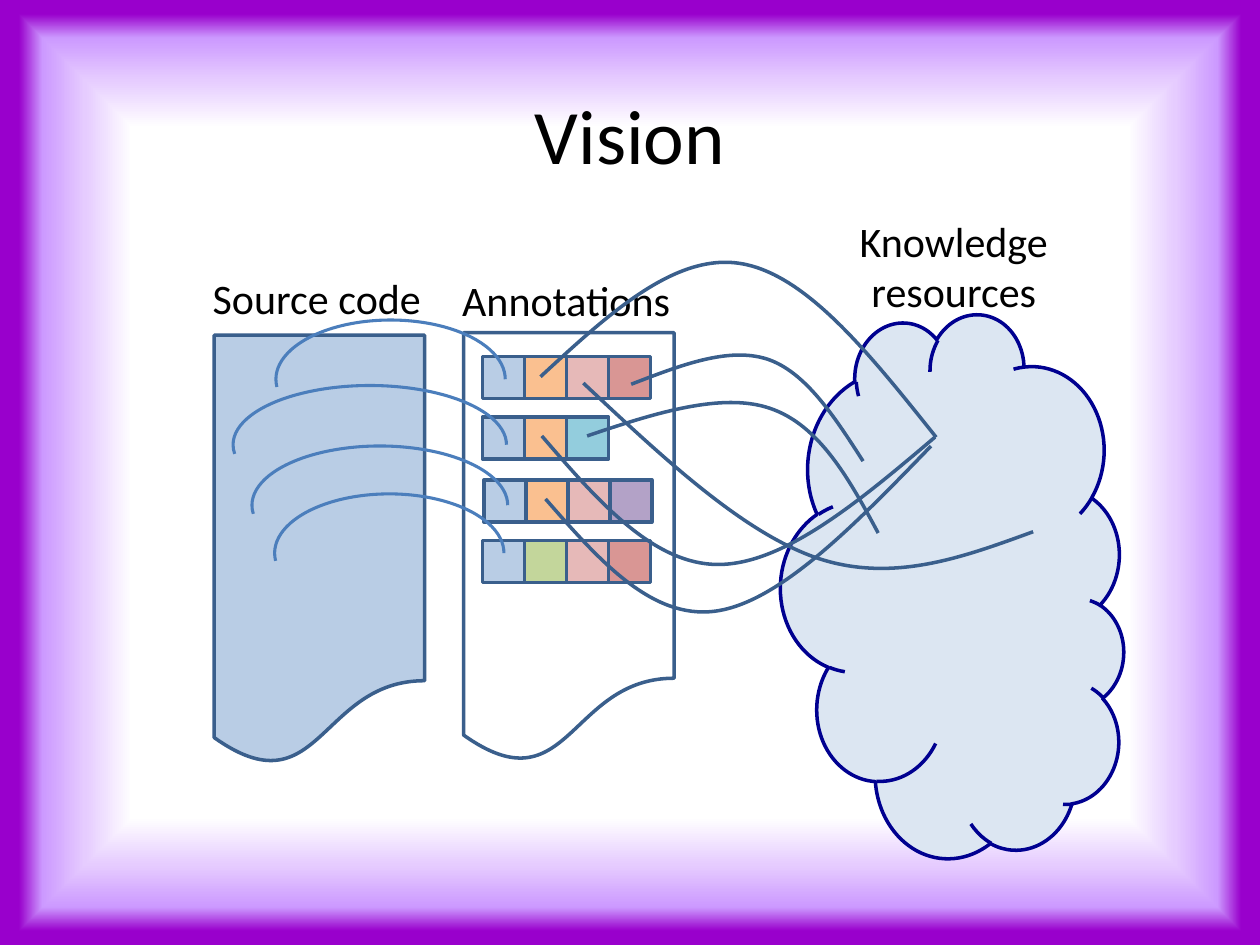
"""Build the "Vision" slide linking source code, annotations and knowledge resources."""
from lxml.etree import SubElement
from pptx import Presentation
from pptx.dml.color import RGBColor
from pptx.enum.shapes import MSO_SHAPE as Shape
from pptx.enum.text import MSO_ANCHOR as Anchor, MSO_AUTO_SIZE as AutoSize, PP_ALIGN as Align
from pptx.oxml import parse_xml
from pptx.oxml.ns import nsdecls, qn
from pptx.util import Inches, Pt

COLORS = {
    "text": "000000", "outline": "3A5F8C", "arc": "4B7EBC",
    "cloud": "DCE6F2", "cloud line": "000090",
    "blue": "B9CDE5", "orange": "FAC090", "pink": "E6B9B8", "red": "D99694",
    "aqua": "93CDDD", "violet": "B3A2C7", "green": "C3D69B",
}
BACKGROUND_STOPS = [(73, "FFFFFF"), (83, "E6CCFF"), (92, "CC99FF"), (97, "9900CC")]
SOURCE_DOCUMENT = (1.7, 2.66, 1.67, 3.42)
ANNOTATION_DOCUMENT = (3.68, 2.64, 1.67, 3.42)
CLOUD = (5.42, 3.28, 4.32, 2.75)
CLOUD_ROTATION = 93.1
CELL = 1 / 3
ANNOTATION_ROWS = [
    (3.83, 2.83, ["blue", "orange", "pink", "red"]),
    (3.83, 3.31, ["blue", "orange", "aqua"]),
    (3.84, 3.81, ["blue", "orange", "pink", "violet"]),
    (3.83, 4.29, ["blue", "green", "pink", "red"]),
]
TITLE = ("Vision", (0.5, 0.58, 9, 0.97), 44, Align.CENTER, True)
LABELS = [
    ("Source code", (1.59, 2.11, 1.87, 0.5), 24, Align.LEFT, False),
    ("Annotations", (3.57, 2.13, 1.87, 0.5), 24, Align.LEFT, False),
    ("Knowledge resources", (6.67, 1.66, 1.8, 0.91), 24, Align.CENTER, True),
]
ARC_HEIGHT = 0.94
ARC_START = 105.663
ARCS = [(2.19, 2.54, 1.82), (2, 3.54, 2.03), (1.85, 3.06, 2.17), (2.18, 3.92, 1.82)]
CURVES = [
    [(4.29, 2.99), (4.82, 2.5), (5.35, 2.01), (5.87, 2.09), (6.4, 2.17), (6.91, 2.82), (7.43, 3.47)],
    [(4.63, 3.04), (5.27, 3.64), (5.9, 4.23), (6.49, 4.43), (7.09, 4.63), (7.65, 4.42), (8.2, 4.22)],
    [(5.01, 3.05), (5.4, 2.9), (5.78, 2.75), (6.09, 2.85), (6.39, 2.95), (6.62, 3.3), (6.85, 3.66)],
    [(4.3, 3.46), (4.74, 3.97), (5.18, 4.48), (5.7, 4.48), (6.22, 4.48), (6.82, 3.98), (7.42, 3.47)],
    [(4.66, 3.46), (5.19, 3.28), (5.73, 3.11), (6.11, 3.24), (6.5, 3.37), (6.74, 3.8), (6.97, 4.23)],
    [(4.33, 3.96), (4.75, 4.44), (5.17, 4.92), (5.68, 4.85), (6.19, 4.78), (6.79, 4.16), (7.39, 3.54)],
]


def color(name):
    return RGBColor.from_string(COLORS[name])


def style(shape, fill=None, line="outline", width=2):
    shape.shadow.inherit = False
    if fill:
        shape.fill.solid()
        shape.fill.fore_color.rgb = color(fill)
    else:
        shape.fill.background()
    shape.line.color.rgb = color(line)
    shape.line.width = Pt(width)


def add_preset(shapes, kind, box, **look):
    shape = shapes.add_shape(kind, *map(Inches, box))
    style(shape, **look)
    return shape


def add_text(slide, text, box, size, align, wrap):
    shape = slide.shapes.add_textbox(*map(Inches, box))
    frame = shape.text_frame
    frame.word_wrap = wrap
    paragraph = frame.paragraphs[0]
    paragraph.text = text
    paragraph.alignment = align
    paragraph.font.name = "Calibri"
    paragraph.font.size = Pt(size)
    paragraph.font.color.rgb = color("text")
    return frame


def add_curve(slide, points):
    points = [(Inches(x), Inches(y)) for x, y in points]
    anchors = points[::3]
    builder = slide.shapes.build_freeform(*anchors[0])
    builder.add_line_segments(anchors[1:], close=False)
    shape = builder.convert_to_shape()
    style(shape)
    segments = list(shape.element.iter(qn("a:lnTo")))
    for index, segment in enumerate(segments):
        segment.tag = qn("a:cubicBezTo")
        controls = points[3 * index + 1:3 * index + 3]
        for position, (x, y) in enumerate(controls):
            point = SubElement(segment, qn("a:pt"), x=str(x - shape.left), y=str(y - shape.top))
            segment.insert(position, point)


def set_background(slide):
    slide.background.fill.gradient()
    gradient = slide.element.find(".//" + qn("a:gradFill"))
    stops = "".join(
        f'<a:gs pos="{position * 1000}"><a:srgbClr val="{value}"/></a:gs>'
        for position, value in BACKGROUND_STOPS
    )
    replacement = parse_xml(
        f'<a:gradFill {nsdecls("a")} rotWithShape="1"><a:gsLst>{stops}</a:gsLst>'
        '<a:path path="rect"><a:fillToRect l="50000" t="50000" r="50000" b="50000"/></a:path>'
        "</a:gradFill>"
    )
    gradient.getparent().replace(gradient, replacement)


def main():
    presentation = Presentation()
    presentation.slide_width, presentation.slide_height = Inches(10), Inches(7.5)
    slide = presentation.slides.add_slide(presentation.slide_layouts[6])
    set_background(slide)

    add_text(slide, *TITLE).vertical_anchor = Anchor.MIDDLE
    add_preset(slide.shapes, Shape.FLOWCHART_DOCUMENT, SOURCE_DOCUMENT, fill="blue")
    for left, top, fills in ANNOTATION_ROWS:
        group = slide.shapes.add_group_shape()
        for column, fill in enumerate(fills):
            box = (left + column * CELL, top, CELL, CELL)
            add_preset(group.shapes, Shape.FLOWCHART_PROCESS, box, fill=fill)
    cloud = add_preset(slide.shapes, Shape.CLOUD, CLOUD, fill="cloud", line="cloud line")
    cloud.rotation = CLOUD_ROTATION
    add_preset(slide.shapes, Shape.FLOWCHART_DOCUMENT, ANNOTATION_DOCUMENT)

    for label in LABELS:
        add_text(slide, *label).auto_size = AutoSize.SHAPE_TO_FIT_TEXT
    for left, top, width in ARCS:
        arc = add_preset(slide.shapes, Shape.ARC, (left, top, width, ARC_HEIGHT), line="arc", width=1.75)
        arc.adjustments[0] = ARC_START
        arc.adjustments[1] = 0
    for points in CURVES:
        add_curve(slide, points)

    presentation.save("out.pptx")


if __name__ == "__main__":
    main()
